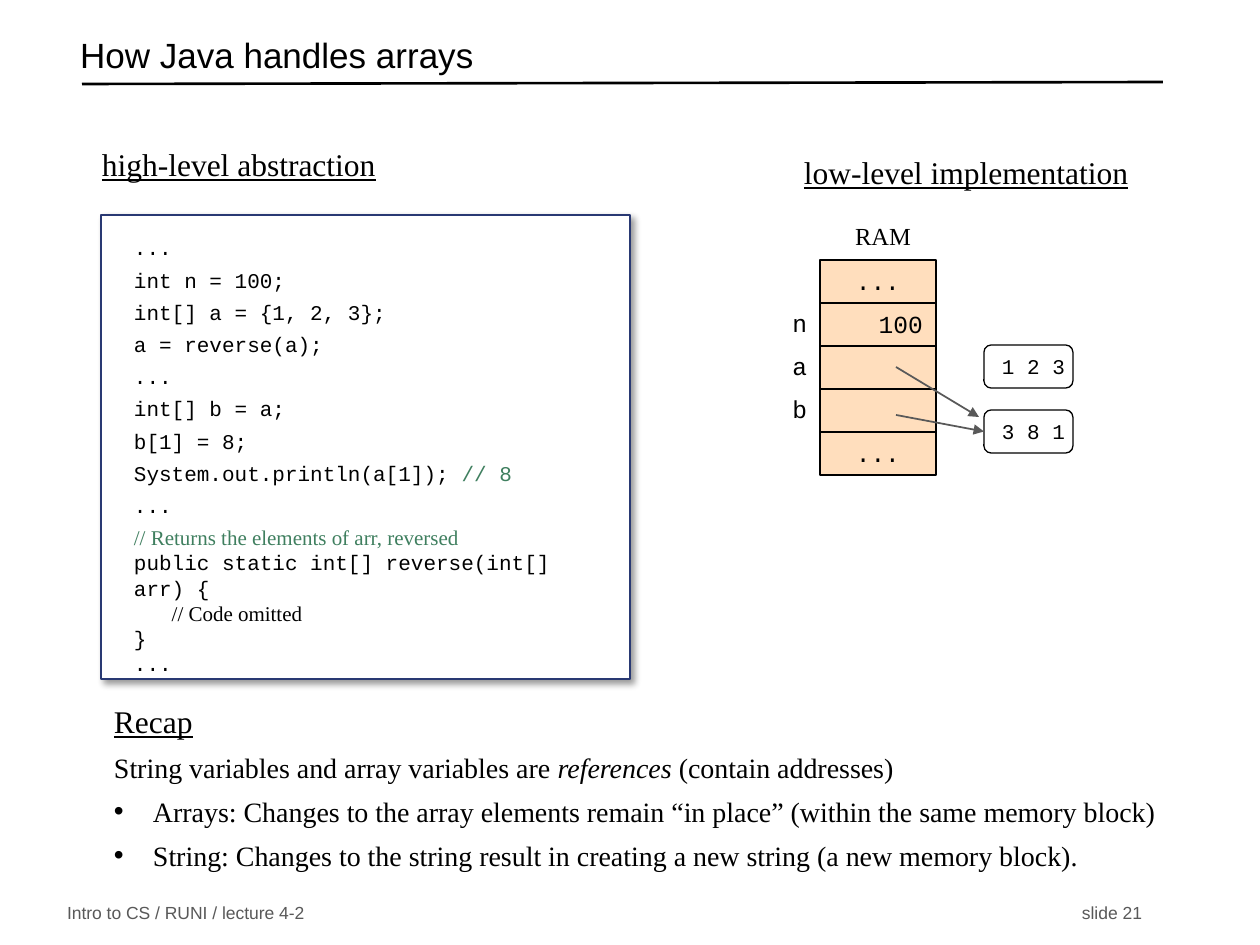
from lxml import etree
from pptx import Presentation
from pptx import util as u
from pptx.dml.color import RGBColor
from pptx.enum import shapes, text
from pptx.oxml.ns import qn

SCALE = 914400 / 126
SERIF, MONO, SANS = "Times New Roman", "Courier New", "Arial"
BLACK, WHITE, GREEN, GRAY = "000000", "FFFFFF", "3F7F5F", "595959"
LEFT, MID, RIGHT = text.PP_ALIGN.LEFT, text.PP_ALIGN.CENTER, text.PP_ALIGN.RIGHT
TOP, MIDDLE = text.MSO_ANCHOR.TOP, text.MSO_ANCHOR.MIDDLE
RECT = shapes.MSO_SHAPE.RECTANGLE
ROUND = shapes.MSO_SHAPE.ROUNDED_RECTANGLE
INSET = (13, 6, 13, 6)


def px(n):
    return u.Emu(round(n * SCALE))


def rgb(code):
    return RGBColor.from_string(code)


def sub(node, tag, **attrs):
    return etree.SubElement(node, qn(tag), {k: str(v) for k, v in attrs.items()})


class Page:
    def __init__(self, deck):
        self.slide = deck.slides.add_slide(deck.slide_layouts[5])
        self.items = self.slide.shapes

    def words(self, frame, paras, size, font, align=LEFT, anchor=TOP, inset=INSET):
        """Fill a frame; each paragraph is (space before, bulleted, runs),
        each run is (words, changes to the base style)."""
        frame.word_wrap = True
        frame.auto_size = text.MSO_AUTO_SIZE.NONE
        frame.vertical_anchor = anchor
        (frame.margin_left, frame.margin_top,
         frame.margin_right, frame.margin_bottom) = map(px, inset)
        for i, (gap, dot, runs) in enumerate(paras):
            para = frame.add_paragraph() if i else frame.paragraphs[0]
            para.alignment = align
            para.space_before = u.Pt(gap)
            if dot:
                self.bullet(para)
            for words, style in runs:
                run = para.add_run()
                run.text = words
                look = {"size": size, "name": font, "color": BLACK, **style}
                look["size"] = u.Pt(look["size"])
                run.font.color.rgb = rgb(look.pop("color"))
                for key, value in look.items():
                    setattr(run.font, key, value)

    def bullet(self, para):
        props = para._p.get_or_add_pPr()
        props.set("marL", str(px(39)))
        props.set("indent", str(px(-39)))
        sub(sub(props, "a:buClr"), "a:srgbClr", val=BLACK)
        sub(props, "a:buFont", typeface=SANS)
        sub(props, "a:buChar", char="•")

    def title(self, words, x, y, w, h):
        item = self.items.title
        item.left, item.top, item.width, item.height = map(px, (x, y, w, h))
        self.words(item.text_frame, [(0, False, [(words, {})])], 20, SANS, anchor=MIDDLE)
        item.text_frame.paragraphs[0].line_spacing = 0.7

    def block(self, paras, x, y, w, h, size, font, **opts):
        box = self.items.add_textbox(*map(px, (x, y, w, h)))
        self.words(box.text_frame, paras, size, font, **opts)

    def label(self, words, x, y, w, h, size, font=SERIF, style=None, **opts):
        self.block([(0, False, [(words, style or {})])], x, y, w, h, size, font, **opts)

    def shape(self, kind, x, y, w, h, fill, line=BLACK):
        item = self.items.add_shape(kind, *map(px, (x, y, w, h)))
        item.shadow.inherit = False
        item.fill.solid()
        item.fill.fore_color.rgb = rgb(fill)
        item.line.color.rgb = rgb(line)
        item.line.width = u.Pt(0.75)
        return item

    def cell(self, kind, words, x, y, w, h, fill, size, **opts):
        item = self.shape(kind, x, y, w, h, fill)
        if words:
            self.words(item.text_frame, [(0, False, [(words, {})])], size, MONO, **opts)
        return item

    def code(self, paras, x, y, w, h):
        item = self.shape(RECT, x, y, w, h, WHITE, "293973")
        glow = sub(item._element.spPr.find(qn("a:effectLst")), "a:outerShdw",
                   blurRad=u.Pt(4), dist=u.Pt(3), dir=45 * 60000, algn="tl", rotWithShape=0)
        sub(sub(glow, "a:srgbClr", val=BLACK), "a:alpha", val=40000)
        self.words(item.text_frame, paras, 12, MONO, inset=(33, 20, 23, 24))

    def line(self, x1, y1, x2, y2, color, width, arrow=False, goal=None):
        link = self.items.add_connector(shapes.MSO_CONNECTOR.STRAIGHT,
                                        *map(px, (x1, y1, x2, y2)))
        link.line.color.rgb = rgb(color)
        link.line.width = u.Pt(width)
        if arrow:
            sub(link.get_or_add_ln(), "a:tailEnd", type="triangle")
        sub(link._element.spPr, "a:effectLst")
        if goal is not None:
            link.end_connect(goal, 1)


def main():
    deck = Presentation()
    deck.slide_width, deck.slide_height = px(1260), px(945)
    page = Page(deck)

    page.title("How Java handles arrays", 67, 28, 1084, 63)
    page.line(82, 84, 1163, 82, BLACK, 1.5)
    page.label("Intro to CS / RUNI / lecture 4-2", 54, 900, 400, 26, 10, SANS,
               {"color": GRAY}, anchor=MIDDLE)
    page.label("slide 21", 1005, 900, 150, 26, 10, SANS,
               {"color": GRAY}, align=RIGHT, anchor=MIDDLE)

    under = {"underline": True}
    page.label("high-level abstraction", 89, 139, 315, 50, 18, style=under)
    page.label("low-level implementation", 791, 147, 440, 50, 18, style=under)

    # Memory column with variable names on its left
    page.label("RAM", 842, 215, 158, 53, 14)
    step = 43
    rows = [("", "...", MID), ("n", "100", RIGHT), ("a", "", MID),
            ("b", "", MID), ("", "...", MID)]
    for i, (name, value, align) in enumerate(rows):
        y = 260 + i * step
        page.cell(RECT, value, 820, y, 116, step, "FFDEBD", 14, align=align)
        if name:
            page.label(name, 684, y - 1, 136, step, 14, MONO, align=RIGHT)

    blocks = [page.cell(ROUND, words, 984, y, 89, step, WHITE, 12,
                        align=MID, inset=(10, 6, 0, 6))
              for words, y in (("1 2 3", 345), ("3 8 1", 410))]
    page.line(896, 367, 979, 417, GRAY, 1, arrow=True)
    page.line(896, 415, 984, 431, GRAY, 1, arrow=True, goal=blocks[1])

    note = {"name": SERIF, "color": GREEN}
    spaced = [
        [("...", {})],
        [("int n = 100;", {})],
        [("int[] a = {1, 2, 3};", {})],
        [("a = reverse(a);", {})],
        [("...", {})],
        [("int[] b = a;", {})],
        [("b[1] = 8;", {})],
        [("System.out.println(a[1]); ", {}), ("// 8", {"color": GREEN})],
        [("...", {})],
        [("// Returns the elements of arr, reversed", note)],
    ]
    tight = [
        [("public static int[] reverse(int[] arr) {", {})],
        [("   ", {}), ("// Code omitted", {"name": SERIF})],
        [("}", {})],
        [("...", {})],
    ]
    page.code([(4 if i else 0, False, runs) for i, runs in enumerate(spaced)]
              + [(0, False, runs) for runs in tight], 101, 215, 529, 464)

    page.block([
        (0, False, [("Recap", {"size": 18, **under})]),
        (6, False, [("String variables and array variables are ", {}),
                    ("references ", {"italic": True}),
                    ("(contain addresses)", {})]),
        (6, True, [("Arrays: Changes to the array elements remain “in place” "
                    "(within the same memory block)", {})]),
        (6, True, [("String: Changes to the string result in creating a new string "
                    "(a new memory block).", {})]),
    ], 101, 696, 1139, 205, 16, SERIF)

    deck.save("out.pptx")


if __name__ == "__main__":
    main()
